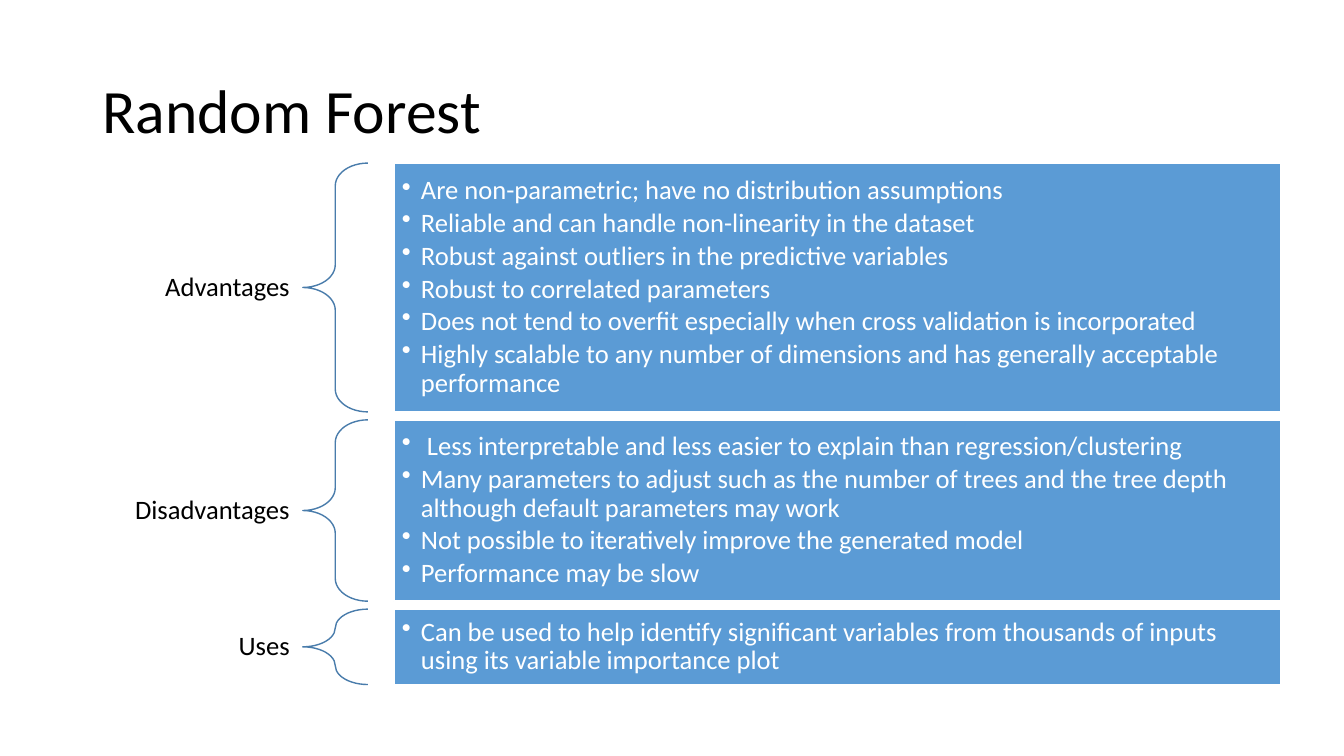
"""Build the Random Forest slide: bulleted panels with braces and labels."""
import pptx
import pptx.dml.color
import pptx.enum.shapes
import pptx.enum.text
import pptx.oxml.ns
import pptx.util
from lxml import etree

Cm = pptx.util.Cm
Pt = pptx.util.Pt
SHAPE = pptx.enum.shapes.MSO_SHAPE
ALIGN = pptx.enum.text.PP_ALIGN
FONT = "Calibri"
COLORS = {"text": "000000", "white": "FFFFFF", "panel": "5B9BD5", "brace": "497CAB"}
TOP = 4.11
GAP = 0.2
SECTIONS = [
    ("Advantages", 6.27, [
        "Are non-parametric; have no distribution assumptions",
        "Reliable and can handle non-linearity in the dataset",
        "Robust against outliers in the predictive variables",
        "Robust to correlated parameters",
        "Does not tend to overfit especially when cross validation is incorporated",
        "Highly scalable to any number of dimensions and has generally acceptable performance",
    ]),
    ("Disadvantages", 4.57, [
        " Less interpretable and less easier to explain than regression/clustering",
        "Many parameters to adjust such as the number of trees and the tree depth "
        "although default parameters may work",
        "Not possible to iteratively improve the generated model",
        "Performance may be slow",
    ]),
    ("Uses", 1.9, [
        "Can be used to help identify significant variables from thousands of inputs "
        "using its variable importance plot",
    ]),
]


def rgb(name):
    """Return the named colour."""
    return pptx.dml.color.RGBColor.from_string(COLORS[name])


def add_bullet(p):
    """Give a paragraph a hanging round bullet."""
    pPr = p._p.get_or_add_pPr()
    pPr.set("marL", str(Cm(0.48)))
    pPr.set("indent", str(-Cm(0.48)))
    bullet = etree.SubElement(pPr, pptx.oxml.ns.qn("a:buChar"))
    bullet.set("char", "•")


def write_text(sp, lines, size=19, color="text", align=ALIGN.LEFT,
               margins=(0.2, 0.2), after=0, bullets=False):
    """Fill a shape with formatted paragraphs, one per line."""
    tf = sp.text_frame
    tf.word_wrap = True
    tf.vertical_anchor = pptx.enum.text.MSO_ANCHOR.MIDDLE
    tf.margin_left = tf.margin_right = Cm(margins[0])
    tf.margin_top = tf.margin_bottom = Cm(margins[1])
    for i, line in enumerate(lines):
        p = tf.add_paragraph() if i else tf.paragraphs[0]
        p.alignment = align
        p.line_spacing = 0.9
        p.space_after = Pt(after)
        if bullets:
            add_bullet(p)
        r = p.add_run()
        r.text = line
        r.font.name = FONT
        r.font.size = Pt(size)
        r.font.color.rgb = rgb(color)


def add_title(s, text):
    """Place and format the slide title."""
    sp = s.shapes.title
    sp.left, sp.top, sp.width, sp.height = Cm(2.33), Cm(1.01), Cm(29.21), Cm(3.68)
    write_text(sp, [text], size=44, margins=(0.25, 0.13))


def add_shape(s, kind, left, top, width, height, line, fill=None):
    """Add a flat outlined shape."""
    sp = s.shapes.add_shape(kind, Cm(left), Cm(top), Cm(width), Cm(height))
    sp.shadow.inherit = False
    sp.line.color.rgb = rgb(line)
    sp.line.width = Pt(1)
    if fill:
        sp.fill.solid()
        sp.fill.fore_color.rgb = rgb(fill)
    else:
        sp.fill.background()
    return sp


def add_section(s, label, top, height, points):
    """Add a label, its brace and its panel of points."""
    label_height = 1.04
    sp = s.shapes.add_textbox(Cm(0.5), Cm(top + (height - label_height) / 2),
                              Cm(7.18), Cm(label_height))
    write_text(sp, [label], align=ALIGN.RIGHT, margins=(0.38, 0.13))
    brace = add_shape(s, SHAPE.LEFT_BRACE, 7.63, top, 1.64, height, "brace")
    brace.adjustments[0] = 0.35
    panel = add_shape(s, SHAPE.RECTANGLE, 9.93, top, 22.35, height, "white", "panel")
    write_text(panel, points, color="white", after=2.85, bullets=True)


def main():
    """Create the slide and save it."""
    prs = pptx.Presentation()
    prs.slide_width, prs.slide_height = Cm(33.87), Cm(19.05)
    s = prs.slides.add_slide(prs.slide_layouts[5])
    add_title(s, "Random Forest")
    top = TOP
    for label, height, points in SECTIONS:
        add_section(s, label, top, height, points)
        top += height + GAP
    prs.save("out.pptx")


if __name__ == "__main__":
    main()
